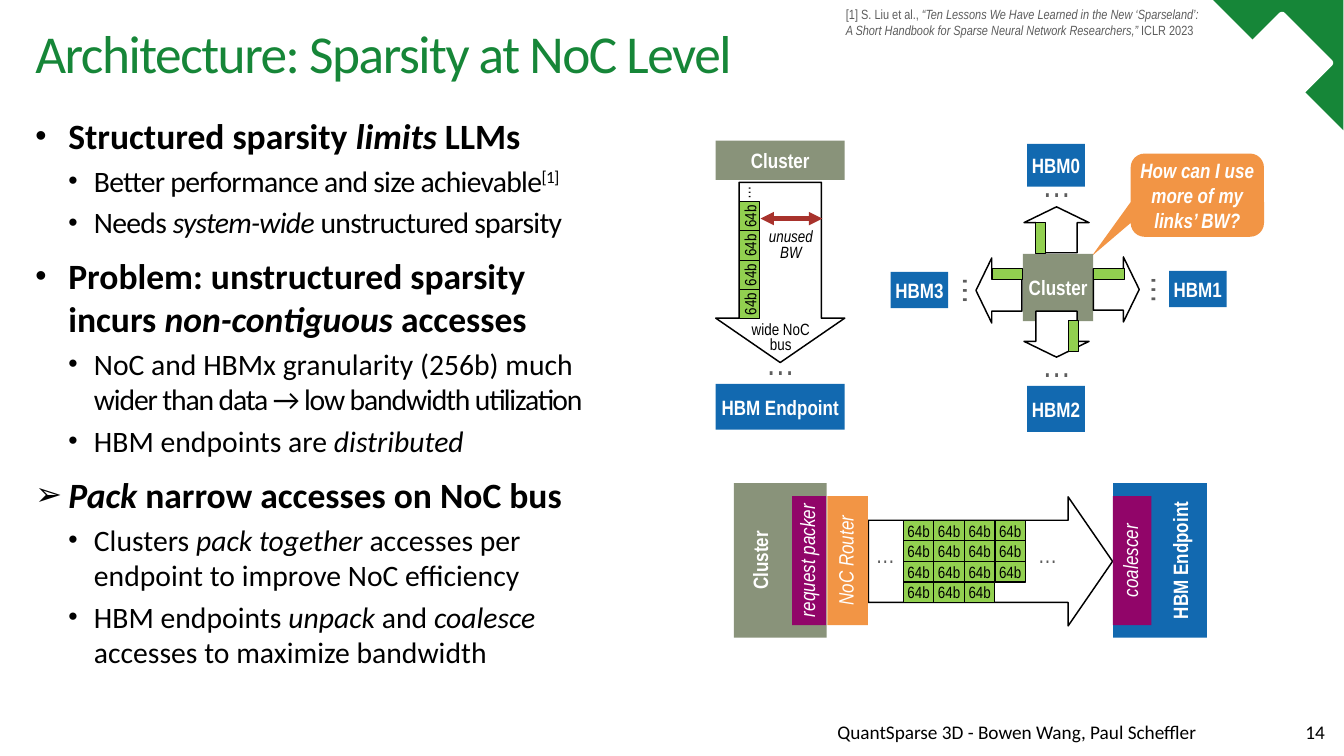
from dataclasses import dataclass, replace
from typing import NamedTuple

from lxml.etree import SubElement
from pptx import Presentation
from pptx.dml.color import RGBColor
from pptx.enum.shapes import MSO_CONNECTOR, MSO_SHAPE
from pptx.enum.text import MSO_ANCHOR, MSO_AUTO_SIZE, PP_ALIGN
from pptx.oxml.ns import qn
from pptx.util import Pt


@dataclass(frozen=True)
class Theme:
    green: str = "168638"
    white: str = "FFFFFF"
    black: str = "000000"
    gray: str = "5D5D5D"
    olive: str = "89937A"
    blue: str = "1269B0"
    orange: str = "F29545"
    purple: str = "910569"
    lime: str = "92D050"
    red: str = "A8322C"
    text_font: str = "Calibri"
    diagram_font: str = "Arial Narrow"
    title_size: float = 36
    level_sizes: tuple = (24, 20)
    footer_size: float = 13
    block_size: float = 14
    cell_size: float = 11
    citation_size: float = 9


THEME = Theme()


class Run(NamedTuple):
    text: str
    italic: bool = False
    tracking: float = 0
    superscript: bool = False


class Bullet(NamedTuple):
    level: int
    runs: tuple
    before: float = 4
    symbol: str = "•"


@dataclass(frozen=True)
class Block:
    left: float
    top: float
    width: float
    height: float
    text: str = ""
    kind: MSO_SHAPE | None = MSO_SHAPE.RECTANGLE
    fill: str = THEME.white
    outline: float = 0
    size: float = THEME.block_size
    color: str = THEME.white
    font: str = THEME.diagram_font
    bold: bool = False
    italic: bool = False
    turn: float = 0
    adjustments: tuple = ()
    line_spacing: float = 1.0
    align: PP_ALIGN = PP_ALIGN.CENTER
    anchor: MSO_ANCHOR = MSO_ANCHOR.MIDDLE
    wrap: bool = True
    inset_top: float = 0
    inset_bottom: float = 0


def rgb(color: str) -> RGBColor:
    return RGBColor.from_string(color)


def style_font(font, name: str, size: float, color: str, bold: bool = False) -> None:
    font.name = name
    font.size = Pt(size)
    font.bold = bold
    font.color.rgb = rgb(color)


def set_insets(frame, top: float = 0, bottom: float = 0) -> None:
    frame.margin_left = frame.margin_right = Pt(0)
    frame.margin_top, frame.margin_bottom = Pt(top), Pt(bottom)


def place(shape, left: float, top: float, width: float, height: float) -> None:
    shape.left, shape.top, shape.width, shape.height = map(Pt, (left, top, width, height))


def add_runs(paragraph, runs: tuple) -> None:
    for item in runs:
        for index, line in enumerate(item.text.split("\n")):
            if index:
                paragraph.add_line_break()
            if not line:
                continue
            run = paragraph.add_run()
            run.text = line
            if item.italic:
                run.font.italic = True
            properties = run._r.get_or_add_rPr()
            if item.tracking:
                properties.set("spc", str(round(item.tracking * 100)))
            if item.superscript:
                properties.set("baseline", "30000")


def draw_block(slide, block: Block):
    width, height = block.width, block.height
    if block.turn % 180 == 90:
        width, height = height, width
    left = block.left + (block.width - width) / 2
    top = block.top + (block.height - height) / 2
    frame = tuple(map(Pt, (left, top, width, height)))
    if block.kind is None:
        shape = slide.shapes.add_textbox(*frame)
    else:
        shape = slide.shapes.add_shape(block.kind, *frame)
        shape.shadow.inherit = False
        shape.fill.solid()
        shape.fill.fore_color.rgb = rgb(block.fill)
        if block.outline:
            shape.line.color.rgb = rgb(THEME.black)
            shape.line.width = Pt(block.outline)
        else:
            shape.line.fill.background()
        for index, value in enumerate(block.adjustments):
            shape.adjustments[index] = value
    shape.rotation = block.turn
    if block.text:
        text_frame = shape.text_frame
        text_frame.word_wrap = block.wrap
        text_frame.vertical_anchor = block.anchor
        set_insets(text_frame, block.inset_top, block.inset_bottom)
        paragraph = text_frame.paragraphs[0]
        paragraph.alignment = block.align
        paragraph.line_spacing = block.line_spacing
        style_font(paragraph.font, block.font, block.size, block.color, block.bold)
        add_runs(paragraph, (Run(block.text, block.italic),))
    return shape


def draw_title(slide) -> None:
    title = slide.shapes.title
    place(title, 23.8, 13.7, 478, 49)
    frame = title.text_frame
    frame.auto_size = MSO_AUTO_SIZE.NONE
    frame.vertical_anchor = MSO_ANCHOR.MIDDLE
    set_insets(frame)
    paragraph = frame.paragraphs[0]
    paragraph.alignment = PP_ALIGN.LEFT
    paragraph.line_spacing = 0.9
    style_font(paragraph.font, THEME.text_font, THEME.title_size, THEME.green)
    add_runs(paragraph, (Run("Architecture: Sparsity at NoC Level", tracking=-1),))


def draw_bullets(slide, bullets: tuple) -> None:
    body = slide.placeholders[1]
    place(body, 23.8, 73.4, 378, 411)
    frame = body.text_frame
    frame.auto_size = MSO_AUTO_SIZE.NONE
    set_insets(frame, 3.6, 3.6)
    for index, bullet in enumerate(bullets):
        paragraph = frame.add_paragraph() if index else frame.paragraphs[0]
        paragraph.level = bullet.level
        paragraph.space_before = Pt(bullet.before)
        properties = paragraph._p.get_or_add_pPr()
        margin, hanging = ((22.3, 22.3), (39.6, 17.3))[bullet.level]
        properties.set("marL", str(Pt(margin)))
        properties.set("indent", str(-Pt(hanging)))
        SubElement(properties, qn("a:buSzPct"), val="90000")
        SubElement(properties, qn("a:buFont"), typeface="Arial")
        SubElement(properties, qn("a:buChar"), char=bullet.symbol)
        style_font(paragraph.font, THEME.text_font, THEME.level_sizes[bullet.level],
                   THEME.black, bullet.level == 0)
        add_runs(paragraph, bullet.runs)


def draw_citation(slide) -> None:
    frame = slide.shapes.add_textbox(Pt(571), Pt(4.3), Pt(246.2), Pt(25.2)).text_frame
    frame.word_wrap = False
    set_insets(frame)
    lines = (
        (Run("[1] S. Liu et al., "),
         Run("“Ten Lessons We Have Learned in the New ‘Sparseland’:", True)),
        (Run("A Short Handbook for Sparse Neural Network Researchers,” ", True),
         Run("ICLR 2023")),
    )
    for index, runs in enumerate(lines):
        paragraph = frame.add_paragraph() if index else frame.paragraphs[0]
        style_font(paragraph.font, THEME.diagram_font, THEME.citation_size, THEME.gray)
        add_runs(paragraph, runs)


def draw_unused_span(slide) -> None:
    connector = slide.shapes.add_connector(
        MSO_CONNECTOR.STRAIGHT, Pt(555.1), Pt(147.6), Pt(513.4), Pt(147.6))
    connector.line.color.rgb = rgb(THEME.red)
    connector.line.width = Pt(3)
    properties = connector.element.spPr
    line = properties.find(qn("a:ln"))
    for end in ("a:headEnd", "a:tailEnd"):
        SubElement(line, qn(end), type="triangle")
    SubElement(properties, qn("a:effectLst"))


def label(left: float, top: float, width: float, text: str, italic: bool = False) -> Block:
    return Block(left, top, width, 26.6, text, None, size=THEME.cell_size,
                 color=THEME.black, italic=italic, line_spacing=0.8)


def dots(left: float, top: float, size: float = 24, turn: float = 0) -> Block:
    width, height = (25.9, 20.2) if turn else (20.2, 25.9)
    return Block(left, top, width, height, "…", None, size=size, color=THEME.gray, turn=turn,
                 align=PP_ALIGN.LEFT, anchor=MSO_ANCHOR.TOP, wrap=False)


def main() -> None:
    presentation = Presentation()
    presentation.slide_width, presentation.slide_height = Pt(907.2), Pt(510.5)
    slide = presentation.slides.add_slide(presentation.slide_layouts[1])

    node = Block(0, 0, 38.9, 24.5, fill=THEME.blue, bold=True)
    cluster = replace(node, text="Cluster", fill=THEME.olive)
    endpoint = replace(node, text="HBM Endpoint")
    bus = Block(0, 0, 43.9, 31, outline=1, adjustments=(0.637, 0.344))
    bar = Block(0, 0, 7.2, 20.9, fill=THEME.lime, outline=0.75)
    cell = replace(bar, text="64b", size=THEME.cell_size, color=THEME.black)
    unit = Block(0, 335, 23, 87.1, fill=THEME.purple, italic=True, turn=270, line_spacing=0.8)
    tile = Block(825.1, 28.1, 28.1, 28.1, kind=MSO_SHAPE.ROUNDED_RECTANGLE, turn=45,
                 adjustments=(0.052,))
    footer = Block(275.8, 483.1, 538.5, 22.3, "QuantSparse 3D - Bowen Wang, Paul Scheffler", None,
                   size=THEME.footer_size, color=THEME.black, font=THEME.text_font,
                   align=PP_ALIGN.RIGHT, anchor=MSO_ANCHOR.BOTTOM, inset_bottom=3.6)
    footer = replace(footer, width=531.3)

    corner = (
        Block(818.9, 0, 88, 88, kind=MSO_SHAPE.ISOSCELES_TRIANGLE, fill=THEME.green,
              turn=270, adjustments=(1,)),
        tile,
        replace(tile, left=840.2, top=17.3, width=50.4, height=50.4),
    )
    mesh = (
        Block(763.2, 103.7, 90, 56.2, "How can I use more of my\nlinks’ BW?",
              MSO_SHAPE.ROUNDED_RECTANGULAR_CALLOUT, THEME.orange, bold=True, italic=True,
              adjustments=(-0.792, 0.732, 0.167)),
        replace(cluster, left=690.5, top=171.4, width=47.5, height=45.4),
        replace(node, left=693.4, top=97.2, height=28.8, text="HBM0"),
        replace(node, left=789.1, top=182.9, text="HBM1"),
        replace(node, left=693.4, top=260.6, height=31, text="HBM2"),
        replace(node, left=601.2, top=183.6, text="HBM3"),
        replace(bus, left=691.2, top=139.7, kind=MSO_SHAPE.UP_ARROW),
        replace(bar, left=698.8, top=150.1),
        replace(bus, left=738, top=173.5, width=31, height=43.9, kind=MSO_SHAPE.RIGHT_ARROW),
        replace(bar, left=738, top=181.4, width=20.9, height=7.2),
        replace(bus, left=691.2, top=210.2, kind=MSO_SHAPE.DOWN_ARROW),
        replace(bar, left=721.1, top=216.4),
        replace(bus, left=658.8, top=174.2, width=31, height=43.9, kind=MSO_SHAPE.LEFT_ARROW),
        replace(bar, left=669.6, top=181.4, width=20.9, height=7.2),
        dots(703.4, 109.4), dots(703.4, 231.1),
        dots(775.4, 185.8, turn=90), dots(628.6, 185.8, turn=270),
    )
    narrow_bus = (
        replace(cluster, left=483.1, top=95, width=87.1, height=26.6),
        replace(bus, left=483.1, top=123.1, width=87.1, height=121.7, kind=MSO_SHAPE.DOWN_ARROW),
        *(replace(cell, left=499.3, top=136.1 + 19.8 * row, width=13.7, height=19.8, turn=270)
          for row in range(4)),
        Block(500.4, 124.6, 3.6, 10.8, "…", size=THEME.cell_size, color=THEME.black, turn=270),
        replace(endpoint, left=483.1, top=259.2, width=87.1, height=31),
        label(501.1, 215.3, 51.8, "wide NoC bus"),
        dots(517, 229.7),
        label(514.8, 152.6, 38.2, "unused\nBW", italic=True),
    )
    packed_bus = (
        replace(bus, left=586.1, top=335.5, width=164.9, height=87.1, kind=MSO_SHAPE.RIGHT_ARROW),
        replace(cluster, left=495.4, top=326.2, width=62.6, height=104.4, turn=270,
                inset_bottom=27.6),
        replace(unit, left=534.6, text="request packer"),
        *(replace(cell, left=609.8 + 20.6 * column, top=351.4 + 13.9 * row, width=20.6, height=13.9)
          for row in range(4) for column in range(3 if row == 3 else 4)),
        replace(endpoint, left=751.3, top=326.2, width=63.4, height=104.4, turn=270,
                inset_top=26.7),
        replace(unit, left=751.3, width=25.9, text="coalescer"),
        replace(unit, left=558.4, width=27.4, text="NoC Router", fill=THEME.orange),
        dots(591.1, 364.3, 16), dots(700.6, 364.3, 16),
    )
    bullets = (
        Bullet(0, (Run("Structured sparsity "), Run("limits", True), Run(" LLMs")), 0),
        Bullet(1, (Run("Better performance and size achievable", tracking=-0.5),
                   Run("[1]", tracking=-0.5, superscript=True))),
        Bullet(1, (Run("Needs ", tracking=-0.5), Run("system-wide", True, -0.5),
                   Run(" unstructured sparsity", tracking=-0.5))),
        Bullet(0, (Run("Problem: unstructured sparsity\nincurs "),
                   Run("non-contiguous ", True), Run("accesses")), 10),
        Bullet(1, (Run("NoC and HBMx granularity (256b) much "),
                   Run("wider than data → low bandwidth utilization", tracking=-0.8))),
        Bullet(1, (Run("HBM endpoints are "), Run("distributed", True))),
        Bullet(0, (Run("Pack", True), Run(" narrow accesses on NoC bus")), 10, "➢"),
        Bullet(1, (Run("Clusters "), Run("pack together ", True),
                   Run("accesses per endpoint to improve NoC efficiency"))),
        Bullet(1, (Run("HBM endpoints "), Run("unpack", True), Run(" and "),
                   Run("coalesce\n", True), Run("accesses to maximize bandwidth"))),
    )

    draw_title(slide)
    draw_bullets(slide, bullets)
    page_number = replace(footer, left=859, width=35.3, text="14")
    for block in (*corner, footer, page_number, *mesh, *narrow_bus, *packed_bus):
        draw_block(slide, block)
    draw_unused_span(slide)
    draw_citation(slide)
    presentation.save("out.pptx")


if __name__ == "__main__":
    main()
